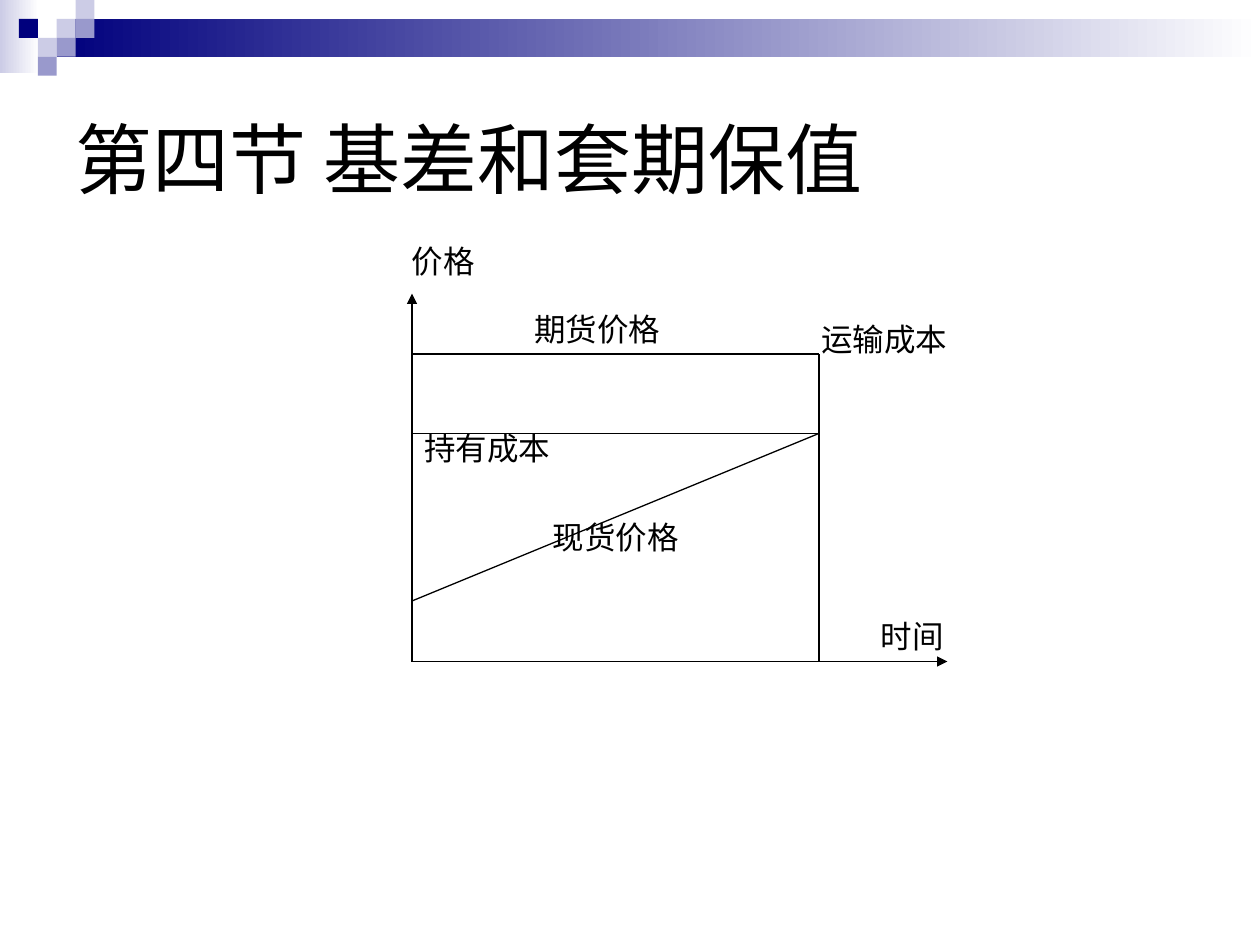
"""Build a slide on basis and hedging with a price-over-time diagram."""
from pptx import Presentation
from pptx.dml.color import RGBColor
from pptx.enum.shapes import MSO_CONNECTOR, MSO_SHAPE
from pptx.enum.text import MSO_ANCHOR, MSO_AUTO_SIZE, PP_ALIGN
from pptx.oxml.ns import qn
from pptx.util import Inches, Pt
from lxml.etree import SubElement


def color(value):
    """Return the colour of a hex string."""
    return RGBColor.from_string(value)


def write(frame, text, size, frame_format):
    """Put one left-aligned line of black text into a frame."""
    for name, value in frame_format.items():
        setattr(frame, name, value)
    line = frame.paragraphs[0]
    line.alignment = PP_ALIGN.LEFT
    run = line.add_run()
    run.text = text
    font_format = {"size": Pt(size), "name": "Arial", "bold": False}
    for name, value in font_format.items():
        setattr(run.font, name, value)
    run.font.color.rgb = color("000000")


NAVY, LILAC, PALE, WHITE, BLACK = "00007D", "9999CC", "CCCCE6", "FFFFFF", "000000"

prs = Presentation()
prs.slide_width, prs.slide_height = Inches(10), Inches(7.5)
slide = prs.slides.add_slide(prs.slide_layouts[5])
shapes = slide.shapes

square = 0.15
banner = [
    (0, 0, 0.31, 0.58, [PALE, WHITE]),
    (0.45, 0.15, 9.55, 0.3, [NAVY, WHITE]),
]
mosaic = [
    (3, 1, PALE), (4, 0, PALE), (4, 1, LILAC), (2, 2, PALE),
    (1, 1, NAVY), (3, 2, LILAC), (2, 3, LILAC),
]
banner += [(col * square, row * square, square, square, [tone]) for col, row, tone in mosaic]
for left, top, width, height, tones in banner:
    block = shapes.add_shape(
        MSO_SHAPE.RECTANGLE, Inches(left), Inches(top), Inches(width), Inches(height))
    block.shadow.inherit = False
    block.line.fill.background()
    if len(tones) == 1:
        block.fill.solid()
        block.fill.fore_color.rgb = color(tones[0])
    else:
        block.fill.gradient()
        block.fill.gradient_angle = 0
        for stop, tone, position in zip(block.fill.gradient_stops, tones, (0, 1)):
            stop.color.rgb = color(tone)
            stop.position = position

title = shapes.title
title_place = {"left": 0.5, "top": 0.5, "width": 9, "height": 1.5}
for side, value in title_place.items():
    setattr(title, side, Inches(value))
write(title.text_frame, "第四节 基差和套期保值", 44,
      {"vertical_anchor": MSO_ANCHOR.MIDDLE, "auto_size": MSO_AUTO_SIZE.NONE})

start, end, time_tip = 3.27, 6.5, 7.52
base, spot_start, spot_end, futures, price_tip = 5.25, 4.77, 3.44, 2.81, 2.33
diagram = [
    (start, base, start, price_tip, True),
    (start, base, time_tip, base, True),
    (end, base, end, futures, False),
    (start, spot_end, end, spot_end, False),
    (start, futures, end, futures, False),
    (start, spot_start, end, spot_end, False),
]
for x1, y1, x2, y2, is_axis in diagram:
    stroke = shapes.add_connector(
        MSO_CONNECTOR.STRAIGHT, Inches(x1), Inches(y1), Inches(x2), Inches(y2))
    stroke.line.width = Pt(0.75)
    stroke.line.color.rgb = color(BLACK)
    if is_axis:
        SubElement(stroke.line._get_or_add_ln(), qn("a:tailEnd"), type="triangle")
    SubElement(stroke._element.spPr, qn("a:effectLst"))

labels = [
    ("价格", 3.17, 1.87), ("期货价格", 4.14, 2.41), ("运输成本", 6.42, 2.49),
    ("持有成本", 3.27, 3.36), ("现货价格", 4.29, 4.06), ("时间", 6.89, 4.85),
]
for text, left, top in labels:
    label = shapes.add_textbox(
        Inches(left), Inches(top), Inches(0.2 + 0.25 * len(text)), Inches(0.4))
    write(label.text_frame, text, 18,
          {"word_wrap": False, "auto_size": MSO_AUTO_SIZE.SHAPE_TO_FIT_TEXT})

prs.save("out.pptx")
